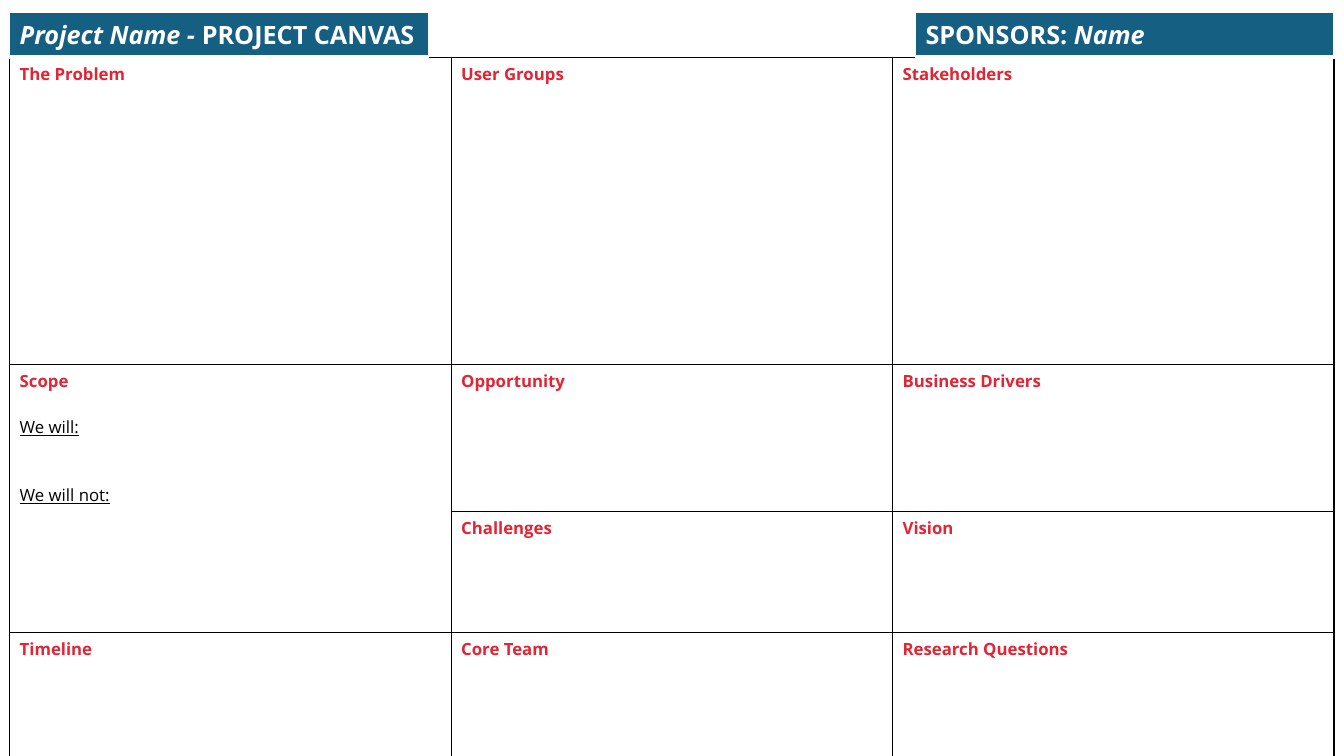
from dataclasses import dataclass

from lxml import etree
from pptx import Presentation
from pptx.dml.color import RGBColor
from pptx.oxml import ns
from pptx.util import Pt


@dataclass(frozen=True)
class Theme:
    """Colours, font and type sizes of the canvas."""
    font: str = "Open Sans"
    banner: str = "156082"
    heading: str = "E32434"
    ink: str = "000000"
    paper: str = "FFFFFF"
    banner_size: float = 18
    body_size: float = 12


THEME = Theme()


def set_borders(cell, color, **widths):
    """Draw the cell's sides, given as L, R, T and B widths in points."""
    tc_pr = cell._tc.get_or_add_tcPr()
    for side, width in widths.items():
        ln = etree.SubElement(tc_pr, ns.qn(f"a:ln{side}"), w=str(Pt(width)))
        fill = etree.SubElement(ln, ns.qn("a:solidFill"))
        etree.SubElement(fill, ns.qn("a:srgbClr"), val=color)


def style_run(r, size, color, bold=False, italic=False, underline=False):
    """Apply the theme font and the given look to a run."""
    r.font.name = THEME.font
    r.font.size = Pt(size)
    r.font.color.rgb = RGBColor.from_string(color)
    r.font.bold = bold
    r.font.italic = italic
    r.font.underline = underline


def add_grid(s, box, row_heights, col_count):
    """Add an unbanded table with equal columns inside the box."""
    left, top, width, height = box
    frame = s.shapes.add_table(len(row_heights), col_count,
                               Pt(left), Pt(top), Pt(width), Pt(height))
    tbl = frame.table
    tbl.first_row = tbl.horz_banding = False
    for row, row_height in zip(tbl.rows, row_heights):
        row.height = Pt(row_height)
    for col in tbl.columns:
        col.width = Pt(width / col_count)
    return tbl


def add_banner(s, box, parts):
    """Add a one-cell banner from (text, italic) parts."""
    cell = add_grid(s, box, [box[3]], 1).cell(0, 0)
    set_borders(cell, THEME.paper, L=1, R=1, T=1, B=3)
    cell.fill.solid()
    cell.fill.fore_color.rgb = RGBColor.from_string(THEME.banner)
    p = cell.text_frame.paragraphs[0]
    for text, italic in parts:
        r = p.add_run()
        r.text = text
        style_run(r, THEME.banner_size, THEME.paper, bold=True, italic=italic)


def add_scope_prompts(tf):
    """Add the underlined prompts below the Scope heading."""
    for text, gap in (("We will:", 16.4), ("We will not:", 32.8)):
        p = tf.add_paragraph()
        p.text = text
        p.space_before = Pt(gap)
        style_run(p.runs[0], THEME.body_size, THEME.ink, underline=True)


def add_canvas(s, box):
    """Add the grid of headed project sections."""
    headings = [
        ["The Problem", "User Groups", "Stakeholders"],
        ["Scope", "Opportunity", "Business Drivers"],
        [None, "Challenges", "Vision"],
        ["Timeline", "Core Team", "Research Questions"],
    ]
    upper_heights = [219.4, 105.2, 86.4]
    last_height = box[3] - sum(upper_heights)
    tbl = add_grid(s, box, upper_heights + [last_height], 3)
    for i, row in enumerate(headings):
        for j, heading in enumerate(row):
            cell = tbl.cell(i, j)
            set_borders(cell, THEME.ink, L=1, R=1, T=1, B=1)
            cell.fill.background()
            if heading:
                p = cell.text_frame.paragraphs[0]
                p.text = heading
                style_run(p.runs[0], THEME.body_size, THEME.heading, bold=True)
    scope = tbl.cell(1, 0)
    scope.merge(tbl.cell(2, 0))
    add_scope_prompts(scope.text_frame)


def main():
    """Build and save the project canvas."""
    prs = Presentation()
    prs.slide_width, prs.slide_height = Pt(960), Pt(540)
    s = prs.slides.add_slide(prs.slide_layouts[6])
    add_canvas(s, (6.9, 40.9, 946, 500.4))
    add_banner(s, (6.9, 9.2, 299, 29.5),
               [("Project Name - ", True), ("PROJECT CANVAS", False)])
    add_banner(s, (653.9, 9.2, 299, 29.5),
               [("SPONSORS: ", False), ("Name", True)])
    prs.save("out.pptx")


if __name__ == "__main__":
    main()
